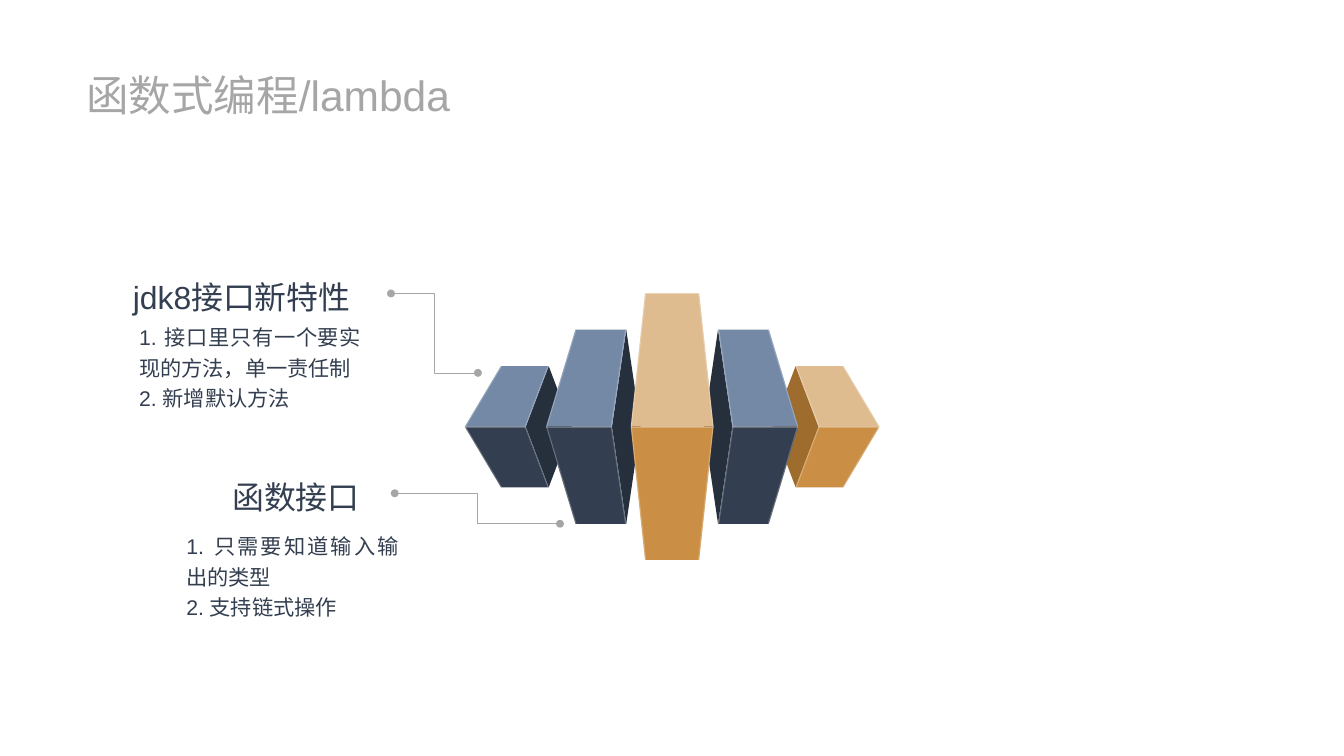
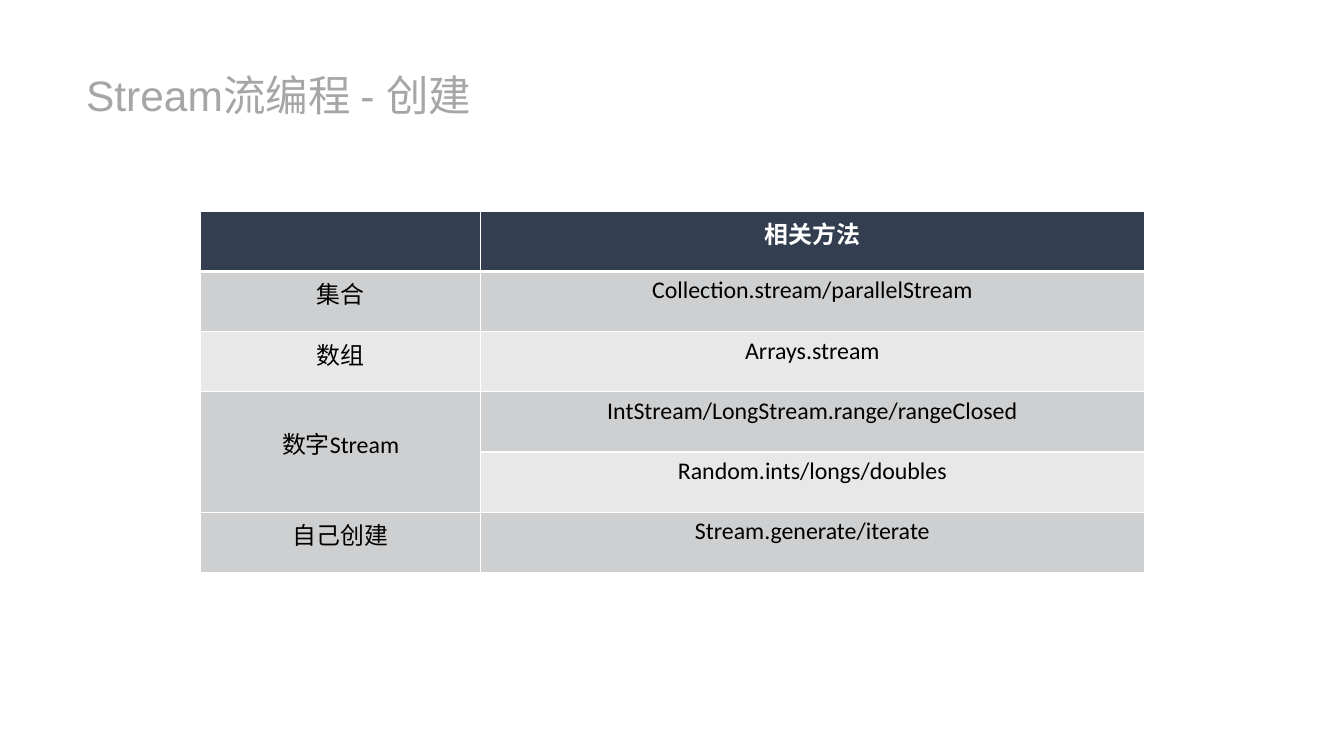
"""Build two slides on functional programming and streams."""
from dataclasses import dataclass
from typing import Optional

from lxml.etree import SubElement
from pptx import Presentation
from pptx.dml.color import RGBColor
from pptx.enum.shapes import MSO_CONNECTOR
from pptx.enum.text import MSO_ANCHOR, MSO_AUTO_SIZE, PP_ALIGN
from pptx.oxml.ns import qn
from pptx.shapes.shapetree import GroupShapes
from pptx.slide import Slide
from pptx.table import _Cell
from pptx.text.text import TextFrame
from pptx.util import Cm, Pt

COLORS = {
    "grey": "A6A6A6",
    "navy": "333F50",
    "steel": "7489A6",
    "ink": "262F3C",
    "sand": "DFBC8F",
    "amber": "CA8F45",
    "bronze": "9E6C2D",
    "white": "FFFFFF",
    "black": "000000",
    "dark band": "CECFD0",
    "light band": "E8E8E9",
}
AXIS_X, AXIS_Y = 17.86, 11.34
GLINT = 0.03

Point = tuple[float, float]
Box = tuple[float, float, float, float]


@dataclass(frozen=True)
class Palette:
    top: str
    front: str
    side: str


@dataclass(frozen=True)
class Profile:
    outer: float
    inner: float
    end_outer: float
    end_inner: float
    half_height: float
    tip: Optional[float] = None


@dataclass(frozen=True)
class Prism:
    profile: Profile
    direction: int
    palette: Palette


@dataclass(frozen=True)
class Callout:
    heading: str
    heading_box: Box
    detail: str
    detail_box: Box
    leader_start: Point
    leader_end: Point


BLUE = Palette("steel", "navy", "ink")
GOLD = Palette("sand", "amber", "bronze")
FAR = Profile(5.51, 3.89, 4.55, 3.28, 1.61, 2.67)
NEAR = Profile(3.35, 1.6, 2.57, 1.22, 2.58, 0.84)
MIDDLE = Profile(1.1, -1.1, 0.72, -0.72, 3.54)
PRISMS = [
    Prism(FAR, -1, BLUE),
    Prism(NEAR, -1, BLUE),
    Prism(FAR, 1, GOLD),
    Prism(NEAR, 1, BLUE),
    Prism(MIDDLE, 1, GOLD),
]
CALLOUTS = [
    Callout(
        "jdk8接口新特性", (3.28, 7.04, 6.58, 1.47),
        "1. 接口里只有一个要实现的方法，单一责任制\n2. 新增默认方法", (3.45, 8.36, 6.4, 2.72),
        (12.7, 9.91), (10.39, 7.8),
    ),
    Callout(
        "函数接口", (5.92, 12.37, 3.94, 1.47),
        "1. 只需要知道输入输出的类型\n2. 支持链式操作", (4.7, 13.92, 6.15, 2.72),
        (14.88, 13.92), (10.49, 13.11),
    ),
]
STREAM_SOURCES = [
    ("", "相关方法"),
    ("集合", "Collection.stream/parallelStream"),
    ("数组", "Arrays.stream"),
    ("数字Stream", "IntStream/LongStream.range/rangeClosed"),
    ("", "Random.ints/longs/doubles"),
    ("自己创建", "Stream.generate/iterate"),
]


def rgb(color: str) -> RGBColor:
    """Return a named colour."""
    return RGBColor.from_string(COLORS[color])


def write(frame: TextFrame, text: str, *, size: float, color: str, font: str = "Arial",
          bold: bool = False, align: PP_ALIGN = PP_ALIGN.LEFT, spacing: float = 1.0) -> None:
    """Fill a text frame, one paragraph for each line of text."""
    frame.text = text
    for paragraph in frame.paragraphs:
        paragraph.alignment = align
        paragraph.line_spacing = spacing
        paragraph.font.size = Pt(size)
        for run in paragraph.runs:
            run.font.name = font
            run.font.size = Pt(size)
            run.font.bold = bold
            run.font.color.rgb = rgb(color)


def add_text_frame(slide: Slide, box: Box) -> TextFrame:
    """Add a wrapping text box that grows with its text."""
    frame = slide.shapes.add_textbox(*map(Cm, box)).text_frame
    frame.word_wrap = True
    frame.auto_size = MSO_AUTO_SIZE.SHAPE_TO_FIT_TEXT
    return frame


def add_title(slide: Slide, text: str) -> None:
    """Add the slide title."""
    frame = add_text_frame(slide, (2.29, 1.83, 10.97, 1.37))
    frame.vertical_anchor = MSO_ANCHOR.MIDDLE
    frame.margin_left = frame.margin_right = frame.margin_top = frame.margin_bottom = 0
    write(frame, text, size=32, color="grey")


def add_face(shapes: GroupShapes, direction: int, offsets: list[Point], color: str,
             opacity: int = 100) -> None:
    """Draw a polygon from offsets to the axis, mirrored by direction."""
    start, *others = [(Cm(AXIS_X + direction * x), Cm(AXIS_Y + y)) for x, y in offsets]
    builder = shapes.build_freeform(*start)
    builder.add_line_segments(others, close=True)
    face = builder.convert_to_shape()
    face.shadow.inherit = False
    face.line.fill.background()
    face.fill.solid()
    face.fill.fore_color.rgb = rgb(color)
    if opacity < 100:
        tint = face._element.spPr.find(qn("a:solidFill"))[0]
        SubElement(tint, qn("a:alpha"), val=str(opacity * 1000))


def add_prism(shapes: GroupShapes, prism: Prism) -> None:
    """Draw the side, top and front of a prism."""
    shape, palette = prism.profile, prism.palette
    height = shape.half_height
    if shape.tip is not None:
        side = [(shape.inner, 0), (shape.end_inner, -height), (shape.tip, 0), (shape.end_inner, height)]
        add_face(shapes, prism.direction, side, palette.side)
    for end, color in ((-height, palette.top), (height, palette.front)):
        face = [(shape.inner, 0), (shape.end_inner, end), (shape.end_outer, end), (shape.outer, 0)]
        add_face(shapes, prism.direction, face, color)


def add_glints(shapes: GroupShapes, prism: Prism) -> None:
    """Draw the pale edges of a prism."""
    shape = prism.profile
    height = shape.half_height
    seam = [(shape.inner, 0), (shape.outer, 0), (shape.outer, GLINT), (shape.inner, GLINT)]
    edges = [
        [(end, -height), (middle, 0), (end, height),
         (end + shift, height), (middle + shift, 0), (end + shift, -height)]
        for middle, end, shift in (
            (shape.outer, shape.end_outer, -GLINT), (shape.inner, shape.end_inner, GLINT))
    ]
    for outline in (seam, *edges):
        add_face(shapes, prism.direction, outline, "white", opacity=25)


def add_leader(slide: Slide, start: Point, end: Point) -> None:
    """Draw an elbow line with a dot at both ends."""
    leader = slide.shapes.add_connector(MSO_CONNECTOR.ELBOW, *map(Cm, (*start, *end)))
    leader.line.width = Pt(0.5)
    leader.line.color.rgb = rgb("grey")
    properties = leader._element.spPr
    for tag in ("a:headEnd", "a:tailEnd"):
        SubElement(properties.find(qn("a:ln")), qn(tag), type="oval")
    SubElement(properties, qn("a:effectLst"))


def add_callout(slide: Slide, callout: Callout) -> None:
    """Add a heading, its detail and its leader line."""
    for text, box, size in (
        (callout.heading, callout.heading_box, 24),
        (callout.detail, callout.detail_box, 16),
    ):
        write(add_text_frame(slide, box), text, size=size, color="navy",
              align=PP_ALIGN.JUSTIFY, spacing=1.2)
    add_leader(slide, callout.leader_start, callout.leader_end)


def set_borders(cell: _Cell, widths: dict[str, float]) -> None:
    """Give a cell white borders, with widths in points by side."""
    properties = cell._tc.get_or_add_tcPr()
    for position, (side, width) in enumerate(widths.items()):
        border = SubElement(properties, qn(f"a:ln{side}"), w=str(Pt(width)))
        SubElement(SubElement(border, qn("a:solidFill")), qn("a:srgbClr"), val=COLORS["white"])
        properties.insert(position, border)


def add_source_table(slide: Slide) -> None:
    """Add the table of ways to create a stream."""
    widths, row_height = (7.44, 17.63), 1.6
    count = len(STREAM_SOURCES)
    table = slide.shapes.add_table(
        count, len(widths), Cm(5.33), Cm(5.61), Cm(sum(widths)), Cm(row_height * count)).table
    for column, width in zip(table.columns, widths):
        column.width = Cm(width)
    for row, texts in enumerate(STREAM_SOURCES):
        header = row == 0
        band = "navy" if header else "dark band" if row % 2 else "light band"
        for column, text in enumerate(texts):
            cell = table.cell(row, column)
            cell.fill.solid()
            cell.fill.fore_color.rgb = rgb(band)
            set_borders(cell, {"L": 1, "R": 1, "T": 3 if row == 1 else 1, "B": 3 if header else 1})
            write(cell.text_frame, text, size=18, font="Calibri", bold=header,
                  color="white" if header else "black", align=PP_ALIGN.CENTER)
    number_cell = table.cell(3, 0)
    number_cell.merge(table.cell(4, 0))
    number_cell.margin_top = Cm(0.9)


def main() -> None:
    """Build and save the presentation."""
    presentation = Presentation()
    presentation.slide_width, presentation.slide_height = Cm(35.71), Cm(20.09)
    blank = presentation.slide_layouts[6]

    lambda_slide = presentation.slides.add_slide(blank)
    prism_shapes = lambda_slide.shapes.add_group_shape().shapes
    for draw in (add_prism, add_glints):
        for prism in PRISMS:
            draw(prism_shapes, prism)
    for callout in CALLOUTS:
        add_callout(lambda_slide, callout)
    add_title(lambda_slide, "函数式编程/lambda")

    stream_slide = presentation.slides.add_slide(blank)
    add_title(stream_slide, "Stream流编程 - 创建")
    add_source_table(stream_slide)

    presentation.save("out.pptx")


if __name__ == "__main__":
    main()
